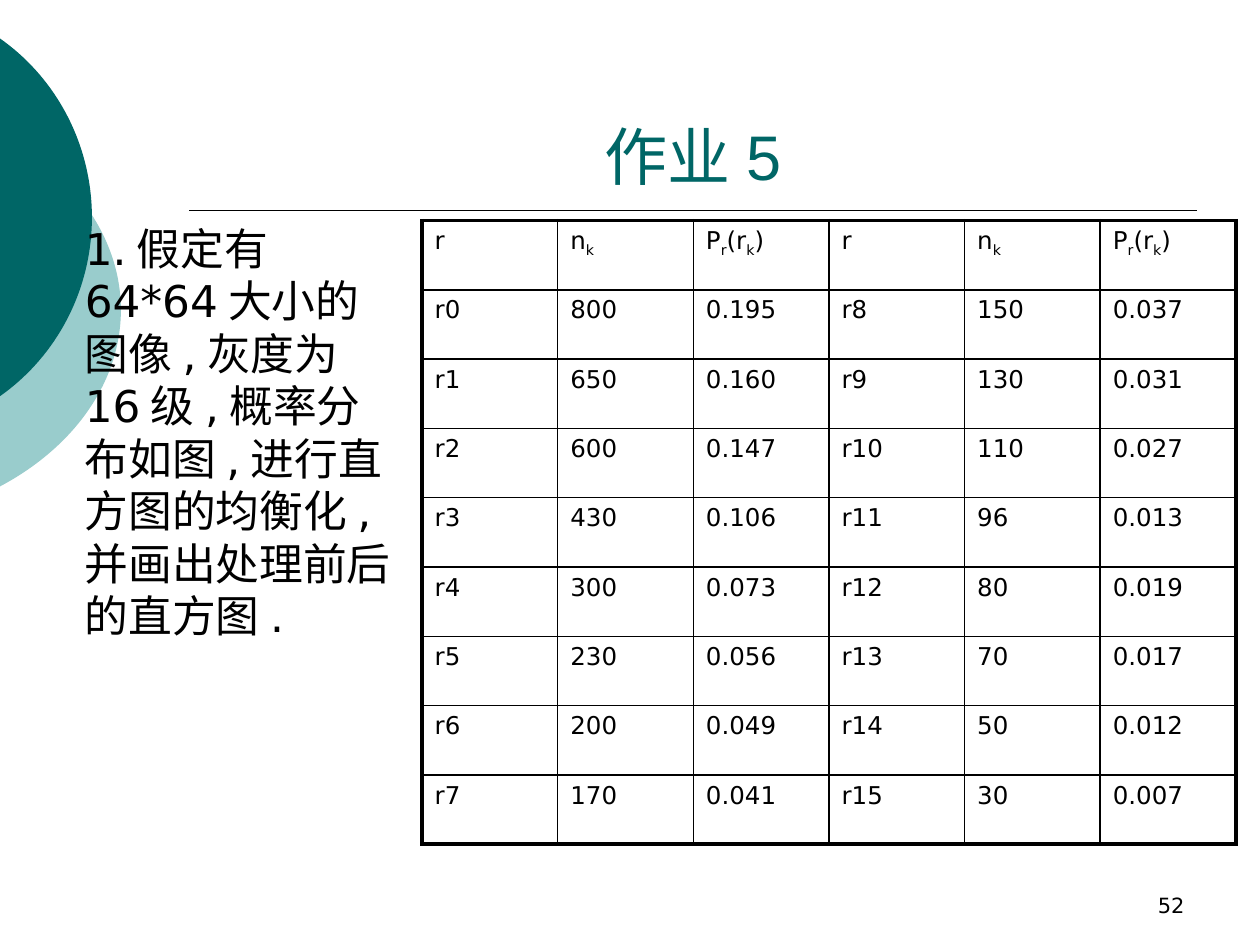
import math

from lxml import etree
from pptx import Presentation
from pptx.dml.color import RGBColor
from pptx.enum.shapes import MSO_CONNECTOR, MSO_SHAPE
from pptx.enum.text import MSO_ANCHOR, PP_ALIGN
from pptx.oxml.ns import qn
from pptx.util import Inches, Pt

BLACK = RGBColor(0x00, 0x00, 0x00)
TEAL = RGBColor(0x00, 0x66, 0x66)
PALE_TEAL = RGBColor(0x99, 0xCC, 0xCC)
TITLE_FONT = "Arial"
BODY_FONT = "DejaVu Sans"
CHORD = MSO_SHAPE.CHORD
STRAIGHT = MSO_CONNECTOR.STRAIGHT
LEFT, CENTER, RIGHT = PP_ALIGN.LEFT, PP_ALIGN.CENTER, PP_ALIGN.RIGHT
TOP, BOTTOM = MSO_ANCHOR.TOP, MSO_ANCHOR.BOTTOM
TITLE_ONLY = 5
THIN, THICK = Pt(1), Pt(2.25)
HANGING = Pt(27)
ADJUSTMENT_PER_DEGREE = 0.6

QUESTION = ("1.假定有64*64大小的图像,灰度为16级,概率分布如图,"
            "进行直方图的均衡化,并画出处理前后的直方图.")
# Each heading is a list of (text, is_subscript) pieces.
HEADINGS = [
    [("r", False)],
    [("n", False), ("k", True)],
    [("P", False), ("r", True), ("(r", False), ("k", True), (")", False)],
]
COUNTS = [800, 650, 600, 430, 300, 230, 200, 170, 150, 130, 110, 96, 80, 70, 50, 30]
PROBABILITIES = ["0.195", "0.160", "0.147", "0.106", "0.073", "0.056", "0.049", "0.041",
                 "0.037", "0.031", "0.027", "0.013", "0.019", "0.017", "0.012", "0.007"]


class HomeworkSlide:
    def __init__(self, deck):
        self.page = deck.slides.add_slide(deck.slide_layouts[TITLE_ONLY])
        self.shapes = self.page.shapes

    def style(self, para, size, color=BLACK, font=BODY_FONT, align=LEFT):
        para.alignment = align
        para.font.size = Pt(size)
        para.font.name = font
        para.font.color.rgb = color

    def title(self, text, left, top, width, height):
        box = self.shapes.title
        box.left, box.top = Inches(left), Inches(top)
        box.width, box.height = Inches(width), Inches(height)
        box.text_frame.text = text
        box.text_frame.vertical_anchor = BOTTOM
        self.style(box.text_frame.paragraphs[0], 36, TEAL, TITLE_FONT, CENTER)

    def edge_disc(self, left, top, width, height, color):
        """Draw an ellipse, cut along the slide's left edge."""
        disc = self.shapes.add_shape(
            CHORD, Inches(left), Inches(top), Inches(width), Inches(height))
        edge_x = -left - width / 2
        edge_y = height / 2 * math.sqrt(1 - (2 * edge_x / width) ** 2)
        angle = math.degrees(math.atan2(edge_y, edge_x))
        disc.adjustments[0] = (360 - angle) * ADJUSTMENT_PER_DEGREE
        disc.adjustments[1] = angle * ADJUSTMENT_PER_DEGREE
        disc.shadow.inherit = False
        disc.fill.solid()
        disc.fill.fore_color.rgb = color
        disc.line.fill.background()

    def rule(self, left, right, y):
        line = self.shapes.add_connector(
            STRAIGHT, Inches(left), Inches(y), Inches(right), Inches(y))
        line.line.color.rgb = BLACK
        line.line.width = THIN
        etree.SubElement(line._element.spPr, qn("a:effectLst"))

    def text(self, text, left, top, width, height, size,
             align=LEFT, anchor=TOP, bulleted=False):
        box = self.shapes.add_textbox(
            Inches(left), Inches(top), Inches(width), Inches(height))
        frame = box.text_frame
        frame.word_wrap = True
        frame.vertical_anchor = anchor
        para = frame.paragraphs[0]
        para.text = text
        if bulleted:
            self.bullet(para)
        self.style(para, size, align=align)

    def bullet(self, para):
        props = para._p.get_or_add_pPr()
        props.set("marL", str(HANGING))
        props.set("indent", str(-HANGING))
        color = etree.SubElement(props, qn("a:buClr"))
        etree.SubElement(color, qn("a:srgbClr"), val=str(TEAL))
        etree.SubElement(props, qn("a:buSzPct"), val="70000")
        etree.SubElement(props, qn("a:buChar"), char="○")

    def table(self, rows, left, top, width, height):
        row_count, column_count = len(rows), len(rows[0])
        table = self.shapes.add_table(
            row_count, column_count, Inches(left), Inches(top),
            Inches(width), Inches(height)).table
        table.first_row = table.horz_banding = False
        for r, row in enumerate(rows):
            for c, pieces in enumerate(row):
                cell = table.cell(r, c)
                cell.fill.background()
                self.borders(cell, {
                    "lnL": c == 0, "lnR": c == column_count - 1,
                    "lnT": r == 0, "lnB": r == row_count - 1})
                para = cell.text_frame.paragraphs[0]
                self.style(para, 14)
                for text, is_subscript in pieces:
                    span = para.add_run()
                    span.text = text
                    if is_subscript:
                        span._r.get_or_add_rPr().set("baseline", "-25000")

    def borders(self, cell, outer_sides):
        """Draw all four sides, thick where the side is on the table's outline."""
        props = cell._tc.get_or_add_tcPr()
        for position, (side, is_outer) in enumerate(outer_sides.items()):
            line = etree.Element(qn(f"a:{side}"), w=str(THICK if is_outer else THIN))
            fill = etree.SubElement(line, qn("a:solidFill"))
            etree.SubElement(fill, qn("a:srgbClr"), val=str(BLACK))
            props.insert(position, line)


def histogram_rows():
    """Set the first half of the grey levels beside the second half."""
    levels = [[[(f"r{level}", False)], [(str(count), False)], [(probability, False)]]
              for level, (count, probability) in enumerate(zip(COUNTS, PROBABILITIES))]
    half = len(levels) // 2
    pairs = zip(levels[:half], levels[half:])
    return [HEADINGS * 2] + [first + second for first, second in pairs]


def main():
    deck = Presentation()
    deck.slide_width, deck.slide_height = Inches(10), Inches(7.5)
    slide = HomeworkSlide(deck)
    slide.edge_disc(-3.54, 0.75, 4.5, 3.42, PALE_TEAL)
    slide.edge_disc(-2.65, 0, 3.38, 3.45, TEAL)
    slide.rule(1.5, 9.5, 1.67)
    slide.text("52", 7.17, 6.83, 2.33, 0.5, 12, align=RIGHT, anchor=BOTTOM)
    slide.title("作业5", 1.5, 0.33, 8, 1.25)
    slide.text(QUESTION, 0.2, 1.71, 3.07, 4.95, 25, bulleted=True)
    slide.table(histogram_rows(), 3.35, 1.75, 6.46, 4.95)
    deck.save("out.pptx")


if __name__ == "__main__":
    main()
